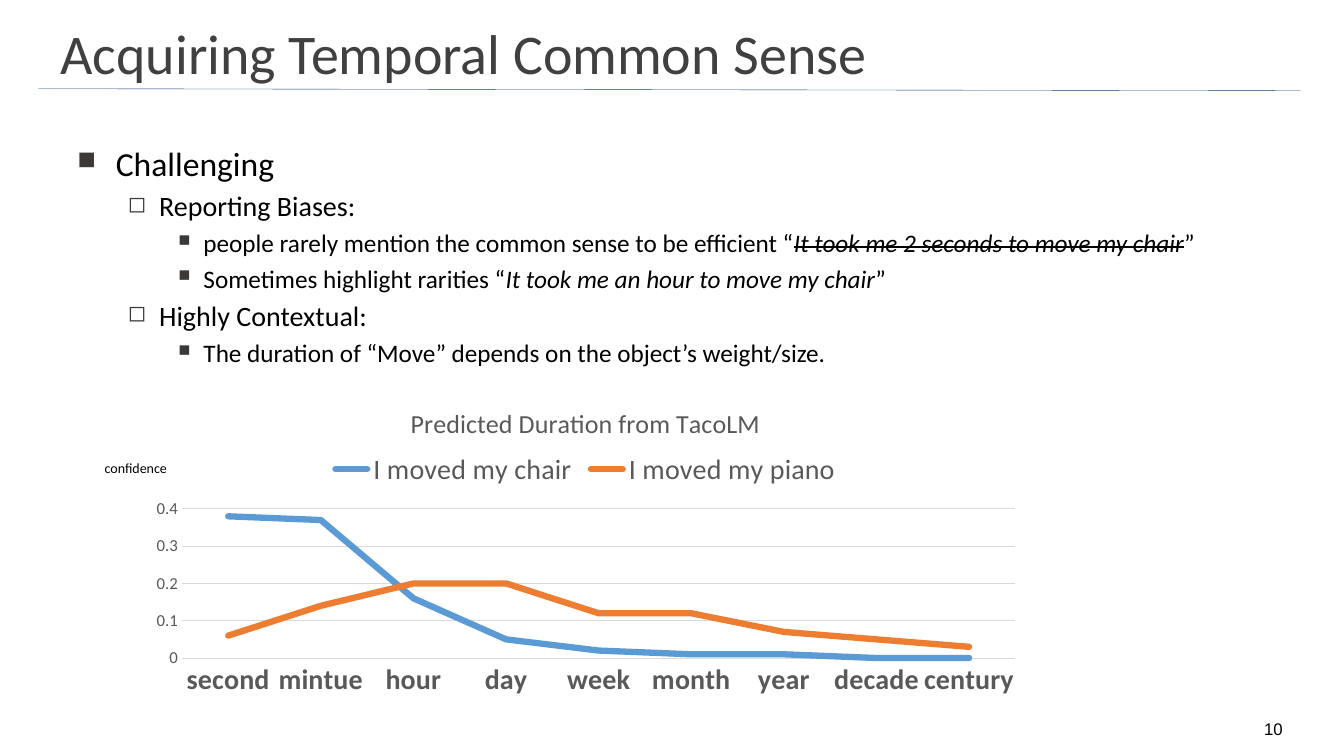
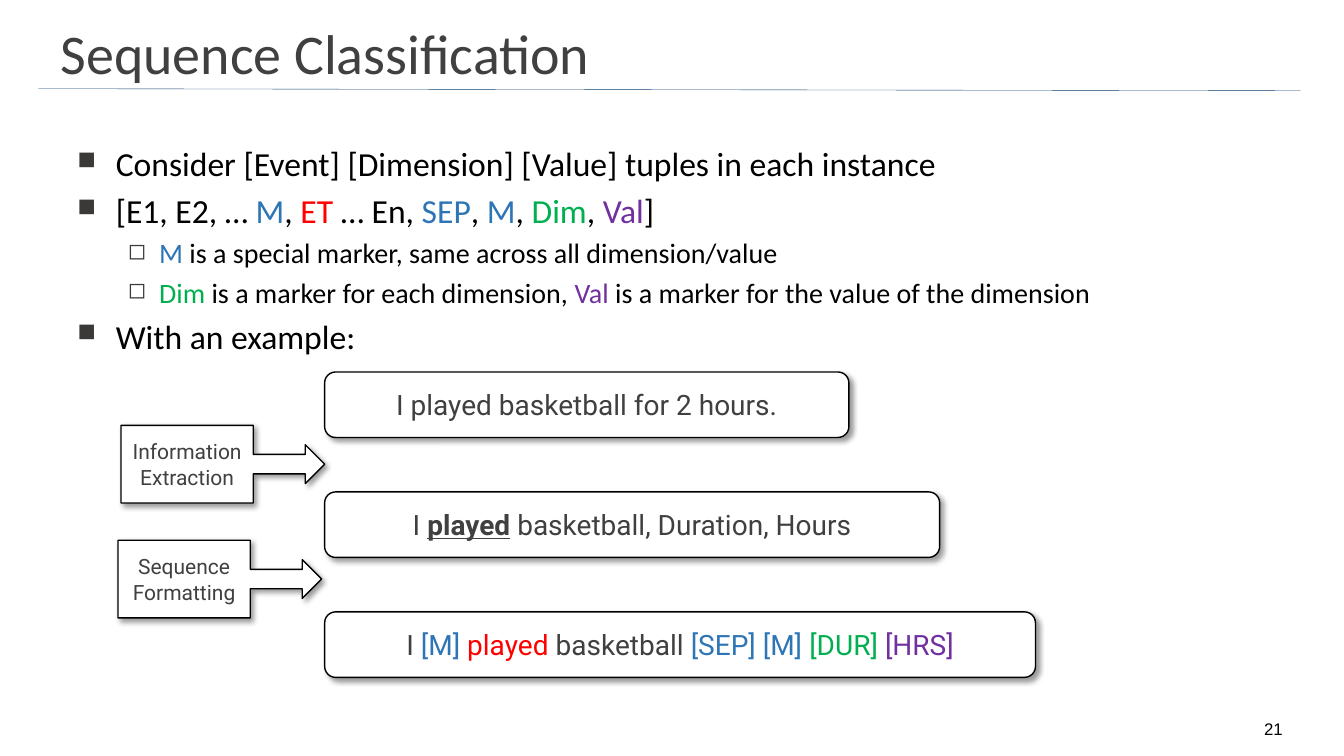
"""Build two lecture slides on temporal common sense: a chart and a sequence diagram."""
from dataclasses import dataclass

from lxml import etree
from pptx import Presentation
from pptx.chart.data import CategoryChartData
from pptx.dml.color import RGBColor
from pptx.enum.chart import XL_CHART_TYPE, XL_LEGEND_POSITION, XL_TICK_MARK
from pptx.enum.shapes import MSO_CONNECTOR, MSO_SHAPE
from pptx.enum.text import MSO_ANCHOR, MSO_AUTO_SIZE, PP_ALIGN
from pptx.oxml.ns import qn
from pptx.util import Pt

LINE_CHART = XL_CHART_TYPE.LINE
LEGEND_TOP = XL_LEGEND_POSITION.TOP
NO_TICK = XL_TICK_MARK.NONE
STRAIGHT = MSO_CONNECTOR.STRAIGHT
ROUNDED = MSO_SHAPE.ROUNDED_RECTANGLE
CALLOUT = MSO_SHAPE.RIGHT_ARROW_CALLOUT
MIDDLE, BOTTOM = MSO_ANCHOR.MIDDLE, MSO_ANCHOR.BOTTOM
LEFT, CENTER = PP_ALIGN.LEFT, PP_ALIGN.CENTER
NO_FIT = MSO_AUTO_SIZE.NONE
PX = 9144


@dataclass(frozen=True)
class Theme:
    """Colours, fonts and type sizes."""
    black: RGBColor = RGBColor.from_string("000000")
    white: RGBColor = RGBColor.from_string("FFFFFF")
    title: RGBColor = RGBColor.from_string("404040")
    rule: RGBColor = RGBColor.from_string("093D6E")
    axis: RGBColor = RGBColor.from_string("595959")
    grid: RGBColor = RGBColor.from_string("D9D9D9")
    chair: RGBColor = RGBColor.from_string("5B9BD5")
    piano: RGBColor = RGBColor.from_string("ED7D31")
    blue: RGBColor = RGBColor.from_string("2E75B6")
    red: RGBColor = RGBColor.from_string("FF0000")
    green: RGBColor = RGBColor.from_string("00B050")
    purple: RGBColor = RGBColor.from_string("7030A0")
    bullet: str = "3B3838"
    body_font: str = "Calibri"
    diagram_font: str = "Roboto"
    number_font: str = "Arial"
    title_size: float = 40
    level_sizes: tuple = (24, 20, 18)
    chart_title_size: float = 18.6
    label_size: float = 20
    step_size: float = 15
    small_size: float = 12
    note_size: float = 10


T = Theme()
INKS = {"blue": T.blue, "red": T.red, "green": T.green, "purple": T.purple}
LEVELS = [(38, 38, "■", 75), (81, 31, "◻", 80), (125, 25, "■", 65)]


def write(p, runs, size, font, color, align=LEFT):
    """Fill a paragraph with plain text or (text, style) runs."""
    if isinstance(runs, str):
        runs = [(runs, "")]
    p.alignment = align
    for text, style in runs:
        r = p.add_run()
        r.text = text
        r.font.size, r.font.name = Pt(size), font
        r.font.color.rgb = INKS.get(style, color)
        if style in ("quote", "struck"):
            r.font.italic = True
        if style == "struck":
            r.font._element.set("strike", "sngStrike")
        if style == "event":
            r.font.bold = r.font.underline = True


def place(parent, index, **box):
    """Give a chart part a manual layout in fractions of the chart."""
    for old in parent.findall(qn("c:layout")):
        parent.remove(old)
    layout = etree.Element(qn("c:layout"))
    manual = etree.SubElement(layout, qn("c:manualLayout"))
    if "target" in box:
        etree.SubElement(manual, qn("c:layoutTarget")).set("val", box.pop("target"))
    for mode in ("xMode", "yMode"):
        etree.SubElement(manual, qn(f"c:{mode}")).set("val", "edge")
    for key, value in box.items():
        etree.SubElement(manual, qn(f"c:{key}")).set("val", str(value))
    parent.insert(index, layout)


SLIDES = [
    ("Acquiring Temporal Common Sense", "10", 490, [
        (0, "Challenging"),
        (1, "Reporting Biases:"),
        (2, [("people rarely mention the common sense to be efficient “", ""),
             ("It took me 2 seconds to move my chair", "struck"), ("”", "")]),
        (2, [("Sometimes highlight rarities “", ""),
             ("It took me an hour to move my chair", "quote"), ("”", "")]),
        (1, "Highly Contextual:"),
        (2, "The duration of “Move” depends on the object’s weight/size."),
    ]),
    ("Sequence Classification", "21", 590, [
        (0, "Consider [Event] [Dimension] [Value] tuples in each instance"),
        (0, [("[E1, E2, … ", ""), ("M", "blue"), (", ", ""), ("ET", "red"),
             (" … En, ", ""), ("SEP", "blue"), (", ", ""), ("M", "blue"), (", ", ""),
             ("Dim", "green"), (", ", ""), ("Val", "purple"), ("]", "")]),
        (1, [("M", "blue"), (" is a special marker, same across all dimension/value", "")]),
        (1, [("Dim", "green"), (" is a marker for each dimension, ", ""), ("Val", "purple"),
             (" is a marker for the value of the dimension", "")]),
        (0, "With an example:"),
    ]),
]

prs = Presentation()
prs.slide_width, prs.slide_height = 1333 * PX, 750 * PX

for title, number, body_height, body in SLIDES:
    s = prs.slides.add_slide(prs.slide_layouts[5])
    rule = s.shapes.add_connector(STRAIGHT, 38 * PX, 88 * PX, 1290 * PX, 90 * PX)
    rule.line.color.rgb, rule.line.width = T.rule, Pt(0.25)
    etree.SubElement(rule._element.spPr, qn("a:effectLst"))

    sp = s.shapes.title
    sp.left, sp.top, sp.width, sp.height = 50 * PX, 23 * PX, 1081 * PX, 58 * PX
    tf = sp.text_frame
    tf.auto_size, tf.vertical_anchor = NO_FIT, MIDDLE
    write(tf.paragraphs[0], title, T.title_size, T.body_font, T.title)

    tf = s.shapes.add_textbox(67 * PX, 137 * PX, 1200 * PX, body_height * PX).text_frame
    tf.word_wrap = True
    for i, (level, runs) in enumerate(body):
        p = tf.add_paragraph() if i else tf.paragraphs[0]
        margin, hang, char, percent = LEVELS[level]
        pPr = p._p.get_or_add_pPr()
        pPr.set("marL", str(margin * PX))
        pPr.set("indent", str(-hang * PX))
        color = etree.SubElement(pPr, qn("a:buClr"))
        etree.SubElement(color, qn("a:srgbClr")).set("val", T.bullet)
        etree.SubElement(pPr, qn("a:buSzPct")).set("val", str(percent * 1000))
        etree.SubElement(pPr, qn("a:buChar")).set("char", char)
        p.level = level
        size = T.level_sizes[level]
        if i:
            p.space_before = Pt(size * 0.2)
        write(p, runs, size, T.body_font, T.black)

    tf = s.shapes.add_textbox(1235 * PX, 713 * PX, 56 * PX, 25 * PX).text_frame
    tf.word_wrap, tf.vertical_anchor = True, BOTTOM
    write(tf.paragraphs[0], number, T.small_size, T.number_font, T.black, CENTER)

challenge, sequence = prs.slides

data = CategoryChartData()
data.categories = ["second", "mintue", "hour", "day", "week", "month", "year", "decade", "century"]
data.add_series("I moved my chair", [0.38, 0.37, 0.16, 0.05, 0.02, 0.01, 0.01, 0, 0])
data.add_series("I moved my piano", [0.06, 0.14, 0.2, 0.2, 0.12, 0.12, 0.07, 0.05, 0.03])
chart = challenge.shapes.add_chart(
    LINE_CHART, 136 * PX, 382 * PX, 889 * PX, 315 * PX, data).chart
chart.font.size, chart.font.name = Pt(T.note_size), T.body_font
chart.font.color.rgb = T.black

chart.has_title = True
write(chart.chart_title.text_frame.paragraphs[0], "Predicted Duration from TacoLM",
      T.chart_title_size, T.body_font, T.axis, CENTER)
for r in chart.chart_title.text_frame.paragraphs[0].runs:
    r.font.bold = False
chart.has_legend = True
legend = chart.legend
legend.position, legend.include_in_layout = LEGEND_TOP, False

cat, val = chart.category_axis, chart.value_axis
for font, size in ((legend.font, T.label_size), (cat.tick_labels.font, T.label_size),
                   (val.tick_labels.font, T.small_size)):
    font.size, font.name = Pt(size), T.body_font
    font.color.rgb = T.axis
cat.tick_labels.font.bold = True
for axis in (cat, val):
    axis.major_tick_mark = axis.minor_tick_mark = NO_TICK
val.minimum_scale, val.maximum_scale, val.major_unit = 0, 0.4, 0.1
val.format.line.fill.background()
for line in (cat.format.line, val.major_gridlines.format.line):
    line.color.rgb, line.width = T.grid, Pt(0.75)

chart.plots[0].vary_by_categories = False
for series, color in zip(chart.plots[0].series, (T.chair, T.piano)):
    series.smooth = False
    series.format.line.color.rgb, series.format.line.width = color, Pt(4.5)
    series._element.find(".//" + qn("a:ln")).set("cap", "rnd")

place(chart.chart_title._element, 1, x=0.3, y=0.05)
place(legend._element, 1, x=0.21, y=0.21, w=0.58, h=0.11)
place(chart._chartSpace.chart.plotArea, 0, target="inner", x=0.05, y=0.39, w=0.93, h=0.47)

tf = challenge.shapes.add_textbox(94 * PX, 451 * PX, 84 * PX, 27 * PX).text_frame
tf.word_wrap = True
write(tf.paragraphs[0], "confidence", T.note_size, T.body_font, T.black)

sentences = [
    (520, "I played basketball for 2 hours."),
    (610, [("I ", ""), ("played", "event"), (" basketball, Duration, Hours", "")]),
    (705, [("I ", ""), ("[M] ", "blue"), ("played", "red"), (" basketball ", ""),
           ("[SEP] [M] ", "blue"), ("[DUR] ", "green"), ("[HRS]", "purple")]),
]
boxes = [(ROUNDED, 322, 369 + 119 * i, width, 65, runs, T.label_size)
         for i, (width, runs) in enumerate(sentences)]
boxes += [(CALLOUT, 120, 422, 202, 77, "Information Extraction", T.step_size),
          (CALLOUT, 117, 536, 202, 77, "Sequence Formatting", T.step_size)]

for shape, x, y, w, h, runs, size in boxes:
    sp = sequence.shapes.add_shape(shape, x * PX, y * PX, w * PX, h * PX)
    sp.fill.solid()
    sp.fill.fore_color.rgb = T.white
    sp.line.color.rgb, sp.line.width = T.black, Pt(1)
    sp.shadow.inherit = False
    shadow = etree.SubElement(sp._element.spPr.find(qn("a:effectLst")), qn("a:outerShdw"),
                              blurRad=str(Pt(4)), dist=str(Pt(3)), dir=str(45 * 60000),
                              algn="tl", rotWithShape="0")
    color = etree.SubElement(shadow, qn("a:srgbClr"), val=str(T.black))
    etree.SubElement(color, qn("a:alpha"), val="40000")
    tf = sp.text_frame
    tf.word_wrap, tf.vertical_anchor = True, MIDDLE
    write(tf.paragraphs[0], runs, size, T.diagram_font, T.title, CENTER)

prs.save("out.pptx")
